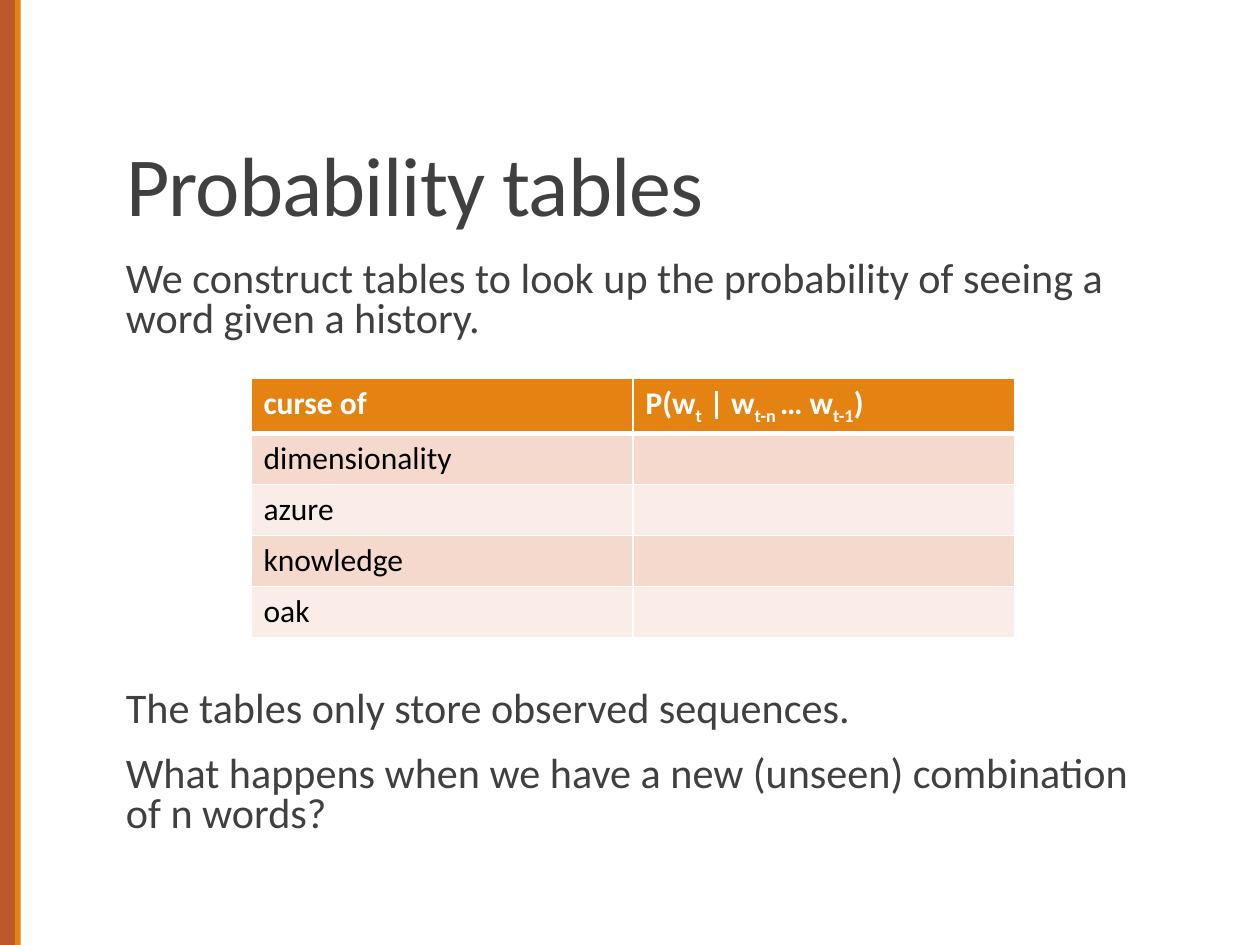
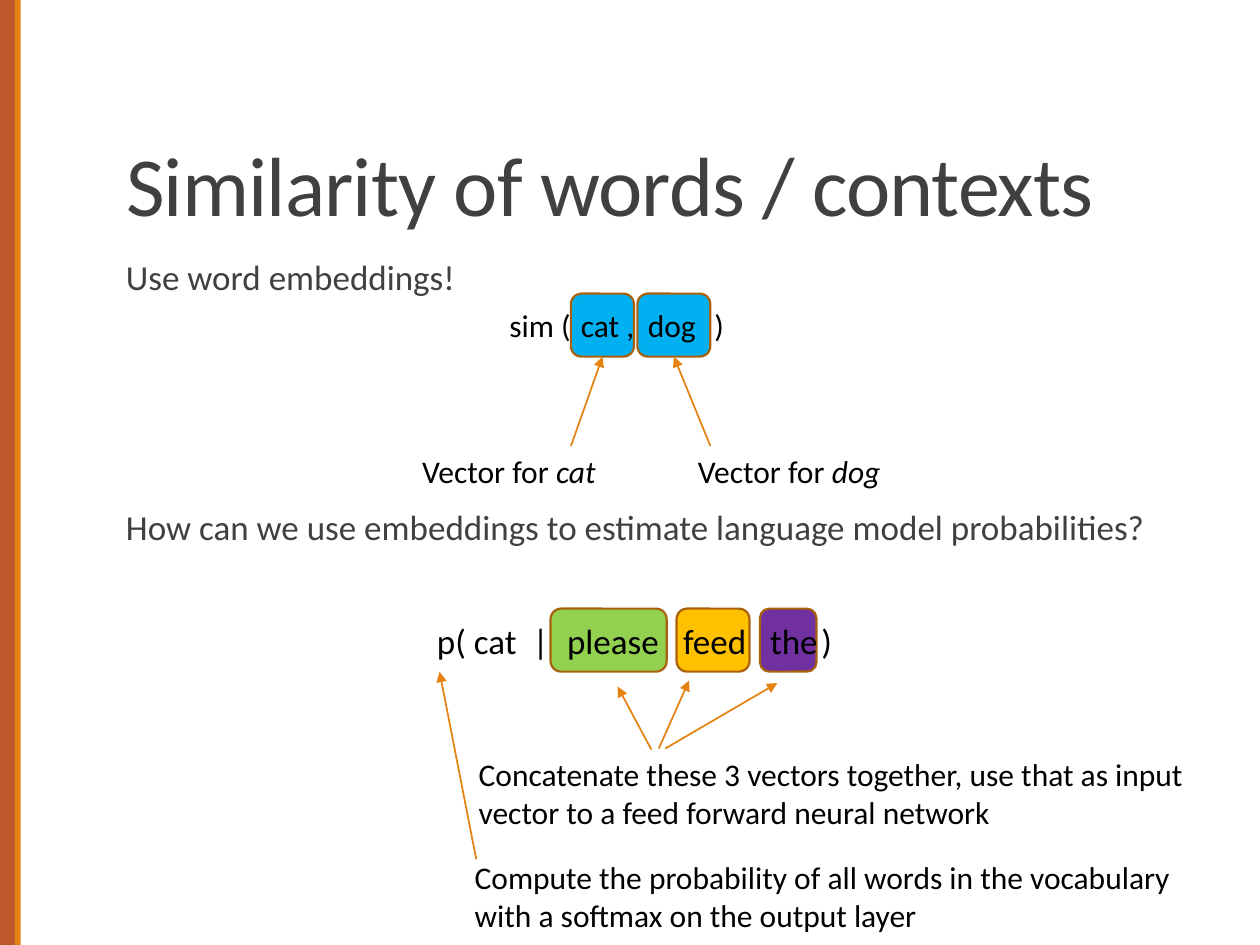
from collections import namedtuple

from lxml.etree import SubElement
from pptx import Presentation
from pptx.dml.color import RGBColor
from pptx.enum.shapes import MSO_CONNECTOR as Connector, MSO_SHAPE as Preset
from pptx.enum.text import MSO_ANCHOR as Anchor, MSO_AUTO_SIZE as AutoSize, PP_ALIGN as Align
from pptx.oxml.ns import qn
from pptx.util import Cm, Pt

COLORS = {
    "rust": "BD582C", "orange": "E48312", "brown": "A9610D",
    "grey": "404040", "black": "000000", "white": "FFFFFF",
    "band_dark": "F5D9CC", "band_light": "FAEDE7",
    "blue": "00B0F0", "green": "92D050", "yellow": "FFC000", "purple": "7030A0",
}
FRAME = {"word_wrap": True, "auto_size": AutoSize.NONE}
NO_INSET = {"margin_left": 0, "margin_right": 0}
TITLE_FONT = {"size": Pt(48), "color": "grey"}
LABEL_FONT = {"size": Pt(18), "color": "black"}
TOKEN_FONT = {"size": Pt(20), "color": "black"}

Box = namedtuple("Box", "left top width height")
Token = namedtuple("Token", "text left width fill indent", defaults=(None, 0))

TITLE_BOX = Box(2.29, 0.79, 20.96, 4.04)
BODY_LEFT, BODY_TOP, BODY_WIDTH = 2.54, 5.13, 20.7


def rgb(name):
    """Return the named colour."""
    return RGBColor.from_string(COLORS[name])


def apply(target, values):
    """Set every attribute in a dict of format values."""
    for key, value in values.items():
        setattr(target, key, value)


def within(box, left, top, width, height):
    """Return a box whose corner is given relative to another box."""
    return Box(box.left + left, box.top + top, width, height)


def lengths(box):
    """Convert a box to slide lengths."""
    return [Cm(value) for value in box]


def write(paragraph, text, font, **extra):
    """Add one formatted run to a paragraph."""
    run = paragraph.add_run()
    run.text = text
    values = {"name": "Calibri", **font, **extra}
    run.font.color.rgb = rgb(values.pop("color"))
    apply(run.font, values)
    return run


def add_block(slide, fill, box, preset=Preset.RECTANGLE, outline=None):
    """Draw a filled shape, with an outline if one is named."""
    block = slide.shapes.add_shape(preset, *lengths(box))
    block.shadow.inherit = False
    block.fill.solid()
    block.fill.fore_color.rgb = rgb(fill)
    if outline:
        block.line.color.rgb = rgb(outline)
        block.line.width = Pt(1.25)
    else:
        block.line.fill.background()
    return block


def add_arrow(slide, box, start, end):
    """Draw an arrow between two points relative to the box."""
    points = [Cm(corner + offset) for point in (start, end)
              for corner, offset in zip(box[:2], point)]
    arrow = slide.shapes.add_connector(Connector.STRAIGHT, *points)
    arrow.line.color.rgb = rgb("orange")
    arrow.line.width = Pt(1)
    properties = arrow.element.spPr
    SubElement(properties.find(qn("a:ln")), qn("a:tailEnd"), type="triangle")
    SubElement(properties, qn("a:effectLst"))


def add_note(slide, box, text, emphasis=""):
    """Write a label that may end in an italic word."""
    frame = slide.shapes.add_textbox(*lengths(box)).text_frame
    apply(frame, FRAME)
    write(frame.paragraphs[0], text, LABEL_FONT)
    if emphasis:
        write(frame.paragraphs[0], emphasis, LABEL_FONT, italic=True)


def add_tokens(slide, box, tokens, font):
    """Set the parts of an expression in a row, some on coloured tiles."""
    for token in tokens:
        place = within(box, token.left, 0, token.width, 1.27)
        if token.fill:
            tile = add_block(slide, token.fill, place, Preset.ROUNDED_RECTANGLE, "brown")
        else:
            tile = slide.shapes.add_textbox(*lengths(place))
        frame = tile.text_frame
        apply(frame, {**FRAME, **NO_INSET, "word_wrap": False,
                      "margin_left": Cm(token.indent), "vertical_anchor": Anchor.MIDDLE})
        frame.paragraphs[0].alignment = Align.LEFT
        write(frame.paragraphs[0], token.text, font)


def add_body(slide, box, texts, size, spacing):
    """Write body paragraphs."""
    frame = slide.shapes.add_textbox(*lengths(box)).text_frame
    apply(frame, {**FRAME, **NO_INSET})
    for index, text in enumerate(texts):
        paragraph = frame.add_paragraph() if index else frame.paragraphs[0]
        apply(paragraph, {"line_spacing": spacing, "space_after": Pt(2),
                          "space_before": Pt(12 if index else 0)})
        write(paragraph, text, {"size": Pt(size), "color": "grey"})


def add_titled_slide(deck, title):
    """Add a slide with the side bands and a title."""
    slide = deck.slides.add_slide(deck.slide_layouts[5])
    add_block(slide, "rust", Box(0, 0, 0.3, 19.05))
    add_block(slide, "orange", Box(0.3, 0, 0.12, 19.05))
    heading = slide.shapes.title
    apply(heading, dict(zip(Box._fields, lengths(TITLE_BOX))))
    apply(heading.text_frame, {**FRAME, "vertical_anchor": Anchor.BOTTOM})
    paragraph = heading.text_frame.paragraphs[0]
    apply(paragraph, {"alignment": Align.LEFT, "line_spacing": 0.85})
    run = write(paragraph, title, TITLE_FONT)
    run.font._element.set("spc", "-50")
    return slide


def format_cell(cell, fill, widths):
    """Give a cell white borders and its fill."""
    properties = cell._tc.get_or_add_tcPr()
    for side, points in zip("LRTB", widths):
        border = SubElement(properties, qn(f"a:ln{side}"), w=str(Pt(points)))
        solid = SubElement(border, qn("a:solidFill"))
        SubElement(solid, qn("a:srgbClr"), val=COLORS["white"])
    cell.fill.solid()
    cell.fill.fore_color.rgb = rgb(fill)


def add_probability_table(slide, box):
    """Draw the lookup table of next words."""
    words = ["dimensionality", "azure", "knowledge", "oak"]
    formula = ["P(w", "t", " | w", "t-n ", "… w", "t-1", ")"]
    table = slide.shapes.add_table(len(words) + 1, 2, *lengths(box)).table
    for index, row in enumerate(table.rows):
        fill = ("band_dark" if index % 2 else "band_light") if index else "orange"
        widths = (1, 1, 3 if index == 1 else 1, 1 if index else 3)
        for cell in row.cells:
            format_cell(cell, fill, widths)
    header = {**LABEL_FONT, "color": "white", "bold": True}
    write(table.cell(0, 0).text_frame.paragraphs[0], "curse of", header)
    for index, part in enumerate(formula):
        run = write(table.cell(0, 1).text_frame.paragraphs[0], part, header)
        if index % 2:
            run.font._element.set("baseline", "-25000")
    for index, word in enumerate(words, 1):
        write(table.cell(index, 0).text_frame.paragraphs[0], word, LABEL_FONT)


def add_similarity_diagram(slide, box):
    """Show the similarity of two word vectors."""
    cat = Token("cat ,", 3.25, 1.27, "blue", 0.14)
    dog = Token("dog", 4.59, 1.47, "blue", 0.15)
    add_tokens(slide, box, [Token("sim (", 2.01, 1.2), cat, dog, Token(")", 6.14, 0.4)],
               LABEL_FONT)
    label_top = 3.07
    for token, start, label_left, word in ((cat, cat.left, 0, "cat"),
                                           (dog, dog.left + dog.width, 5.56, "dog")):
        add_arrow(slide, box, (start, label_top), (token.left + token.width / 2, 1.27))
        add_note(slide, within(box, label_left, label_top, 4.5, 1.02), "Vector for ", word)


def add_prediction_diagram(slide, box):
    """Show how context vectors give a word probability."""
    add_tokens(slide, box, [
        Token("p( cat", 0.25, 1.8),
        Token("|", 2.18, 0.5),
        Token("please", 2.54, 2.34, "green", 0.27),
        Token("feed", 5.08, 1.47, "yellow", 0.07),
        Token("the", 6.76, 1.14, "purple", 0.15),
        Token(")", 8, 0.5),
    ], TOKEN_FONT)
    for start, end in (((4.57, 2.84), (3.89, 1.57)), ((4.72, 2.82), (5.33, 1.45)),
                       ((4.85, 2.82), (7.11, 1.5)), ((1.04, 5.05), (0.3, 1.27))):
        add_arrow(slide, box, start, end)
    add_note(slide, within(box, 0.84, 2.82, 14.88, 1.8),
             "Concatenate these 3 vectors together, use that as input "
             "vector to a feed forward neural network")
    add_note(slide, within(box, 0.76, 4.9, 14.66, 1.8),
             "Compute the probability of all words in the vocabulary "
             "with a softmax on the output layer")


def build_tables_slide(deck):
    """Build the slide on probability tables."""
    slide = add_titled_slide(deck, "Probability tables")
    add_body(slide, Box(BODY_LEFT, BODY_TOP, BODY_WIDTH, 2.2),
             ["We construct tables to look up the probability of seeing a word given a history."],
             24.1, 0.8)
    add_probability_table(slide, Box(5.06, 7.62, 15.4, 5.08))
    add_body(slide, Box(BODY_LEFT, 13.8, BODY_WIDTH, 4),
             ["The tables only store observed sequences.",
              "What happens when we have a new (unseen) combination of n words?"],
             24.1, 0.8)


def build_similarity_slide(deck):
    """Build the slide on word similarity."""
    slide = add_titled_slide(deck, "Similarity of words / contexts")
    for top, text in ((BODY_TOP, "Use word embeddings!"),
                      (10.17, "How can we use embeddings to estimate "
                              "language model probabilities?")):
        add_body(slide, Box(BODY_LEFT, top, BODY_WIDTH, 1.1), [text], 20, 0.9)
    add_similarity_diagram(slide, Box(8.26, 5.92, 10, 4.1))
    add_prediction_diagram(slide, Box(8.56, 12.27, 15.72, 6.7))


def main():
    """Build and save the deck."""
    deck = Presentation()
    apply(deck, {"slide_width": Cm(25.4), "slide_height": Cm(19.05)})
    build_tables_slide(deck)
    build_similarity_slide(deck)
    deck.save("out.pptx")


if __name__ == "__main__":
    main()
